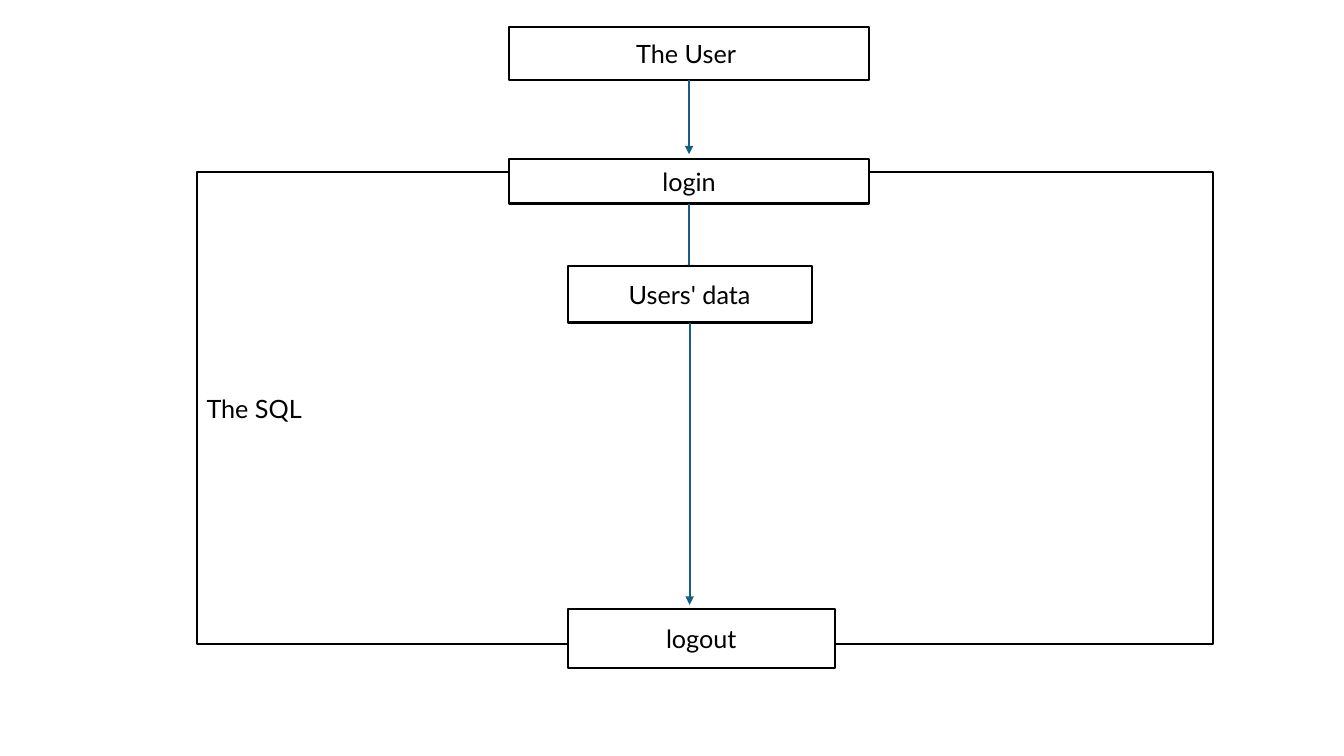
from lxml import etree
from pptx import Presentation
from pptx.dml.color import RGBColor
from pptx.enum.shapes import MSO_CONNECTOR as CONNECTOR, MSO_SHAPE as SHAPE
from pptx.enum.text import MSO_ANCHOR as ANCHOR, PP_ALIGN as ALIGN
from pptx.oxml.ns import qn
from pptx.util import Inches, Pt

BLACK = RGBColor(0x00, 0x00, 0x00)
WHITE = RGBColor(0xFF, 0xFF, 0xFF)
BLUE = RGBColor(0x15, 0x60, 0x82)
BOTTOM = 2


class FlowSlide:
    font = "Lato"
    size = Pt(18)
    line_width = Pt(1.5)

    def __init__(self, prs):
        self.s = prs.slides.add_slide(prs.slide_layouts[6])

    def box(self, text, left, top, width, height, align=ALIGN.CENTER):
        sp = self.s.shapes.add_shape(SHAPE.RECTANGLE, Inches(left), Inches(top),
                                     Inches(width), Inches(height))
        sp.shadow.inherit = False
        sp.fill.solid()
        sp.fill.fore_color.rgb = WHITE
        sp.line.color.rgb = BLACK
        sp.line.width = self.line_width
        tf = sp.text_frame
        tf.word_wrap = True
        tf.vertical_anchor = ANCHOR.MIDDLE
        p = tf.paragraphs[0]
        p.text = text
        p.alignment = align
        font = p.runs[0].font
        font.name = self.font
        font.size = self.size
        font.color.rgb = BLACK
        return sp

    def arrow_down(self, source, end_y):
        x = source.left + source.width // 2
        line = self.s.shapes.add_connector(CONNECTOR.STRAIGHT, x, source.top + source.height,
                                           x, Inches(end_y))
        line.begin_connect(source, BOTTOM)
        line.line.color.rgb = BLUE
        line.line.width = self.line_width
        etree.SubElement(line.line._get_or_add_ln(), qn("a:tailEnd"), type="triangle")
        etree.SubElement(line._element.spPr, qn("a:effectLst"))
        return line


def main():
    prs = Presentation()
    prs.slide_width, prs.slide_height = Inches(13.33), Inches(7.5)
    slide = FlowSlide(prs)

    # Database frame
    slide.box("The SQL", 1.95, 1.71, 10.08, 4.68, ALIGN.LEFT)

    # User signs in
    user = slide.box("The User ", 5.05, 0.27, 3.57, 0.52)
    slide.arrow_down(user, 1.53)
    login = slide.box("login", 5.05, 1.58, 3.57, 0.44)

    # Data access; the arrow runs behind the data box
    slide.arrow_down(login, 2.71)
    data = slide.box("Users' data", 5.63, 2.64, 2.42, 0.56)

    # User signs out
    slide.box("logout", 5.63, 6.04, 2.65, 0.59)
    slide.arrow_down(data, 6)

    prs.save("out.pptx")


if __name__ == "__main__":
    main()
